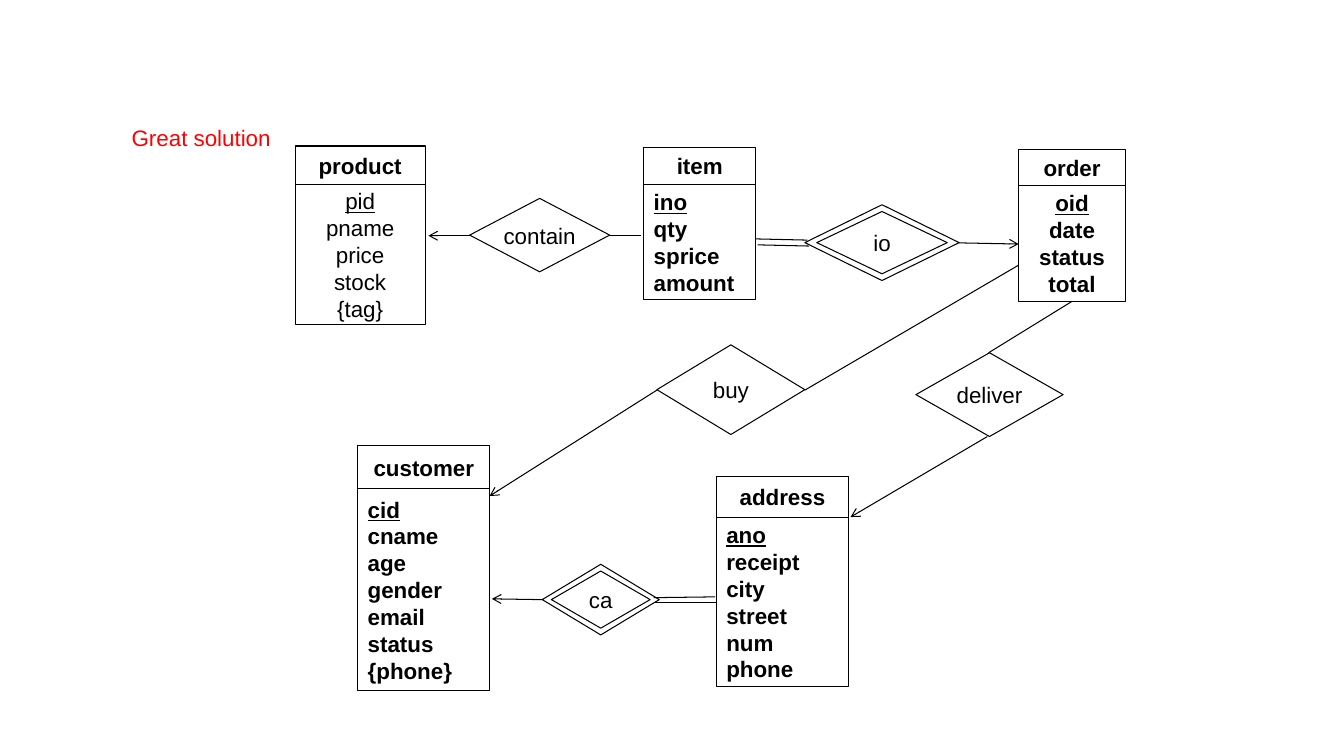
from pptx import Presentation
from pptx.dml.color import RGBColor
from pptx.enum.shapes import MSO_CONNECTOR as Link, MSO_SHAPE as Form
from pptx.enum.text import MSO_ANCHOR as Anchor, PP_ALIGN as Align
from pptx.oxml.ns import qn
from pptx.util import Cm, Pt
from lxml.etree import SubElement

BLACK = "000000"
RED = "FF0000"

ENTITIES = [
    ("product", (7.44, 3.68, 3.28), 0.97, 3.53, Align.CENTER, False,
     ["pid", "pname", "price", "stock", "{tag}"]),
    ("item", (16.23, 3.71, 2.82), 0.94, 2.9, Align.LEFT, True,
     ["ino", "qty", "sprice", "amount"]),
    ("order", (25.68, 3.78, 2.69), 0.89, 2.92, Align.CENTER, True,
     ["oid", "date", "status", "total"]),
    ("customer", (9.02, 11.23, 3.33), 1.09, 5.08, Align.LEFT, True,
     ["cid", "cname", "age", "gender", "email", "status", "{phone}"]),
    ("address", (18.06, 12.01, 3.33), 1.02, 4.27, Align.LEFT, True,
     ["ano", "receipt", "city", "street", "num", "phone"]),
]

RELATIONS = [
    ("contain", (11.84, 5, 3.53, 1.85)),
    ("buy", (16.56, 8.69, 3.73, 2.26)),
    ("deliver", (23.09, 8.89, 3.71, 2.11)),
]

WEAK = [
    ("io", (20.29, 5.16, 3.89, 1.91), 0.3),
    ("ca", (13.67, 14.22, 2.95, 1.78), 0.23),
]

ARROWS = [
    (11.84, 5.94, 10.8, 5.94),
    (24.18, 6.12, 25.68, 6.15),
    (16.56, 9.83, 12.34, 12.5),
    (24.89, 11, 21.44, 13.03),
    (13.67, 15.11, 12.4, 15.09),
]

LINES = [
    (15.34, 5.94, 16.15, 5.94),
    (19.05, 6.02, 20.35, 6.05),
    (19.1, 6.17, 20.4, 6.2),
    (20.29, 9.83, 25.68, 6.68),
    (27.03, 7.59, 24.92, 8.89),
    (16.48, 15.06, 18.03, 15.04),
    (16.48, 15.19, 18.06, 15.19),
]


def color(code):
    return RGBColor.from_string(code)


def stroke(line):
    line.color.rgb = color(BLACK)
    line.width = Pt(0.75)


def write(frame, rows, align, bold=False, code=BLACK):
    frame.text = "\n".join(rows)
    for para in frame.paragraphs:
        para.alignment = align
        for run in para.runs:
            run.font.name = "Arial"
            run.font.size = Pt(16)
            run.font.bold = bold
            run.font.color.rgb = color(code)


def add_form(slide, form, box, rows=(), align=Align.CENTER, bold=False):
    shape = slide.shapes.add_shape(form, *map(Cm, box))
    shape.shadow.inherit = False
    shape.fill.background()
    stroke(shape.line)
    if rows:
        frame = shape.text_frame
        frame.word_wrap = False
        frame.vertical_anchor = Anchor.MIDDLE
        write(frame, rows, align, bold)
    return shape


def add_entity(slide, name, place, head, body, align, bold, fields):
    left, top, width = place
    add_form(slide, Form.RECTANGLE, (left, top, width, head), [name], bold=True)
    box = add_form(slide, Form.RECTANGLE, (left, top + head, width, body),
                   fields, align, bold)
    box.text_frame.paragraphs[0].runs[0].font.underline = True


def add_weak(slide, name, box, gap):
    left, top, width, height = box
    rise = 0.17
    inner = (left + gap, top + rise, width - 2 * gap, height - 2 * rise)
    add_form(slide, Form.DIAMOND, inner, [name])
    add_form(slide, Form.DIAMOND, box)


def add_line(slide, ends, arrow=False):
    line = slide.shapes.add_connector(Link.STRAIGHT, *map(Cm, ends))
    stroke(line.line)
    props = line.element.spPr
    if arrow:
        SubElement(props.find(qn("a:ln")), qn("a:tailEnd"), type="arrow")
    SubElement(props, qn("a:effectLst"))


def add_note(slide, text, box):
    frame = slide.shapes.add_textbox(*map(Cm, box)).text_frame
    frame.word_wrap = True
    write(frame, [text], Align.LEFT, code=RED)


def main():
    deck = Presentation()
    deck.slide_width = Cm(33.88)
    deck.slide_height = Cm(19.05)
    slide = deck.slides.add_slide(deck.slide_layouts[6])
    for entity in ENTITIES:
        add_entity(slide, *entity)
    for name, box in RELATIONS:
        add_form(slide, Form.DIAMOND, box, [name])
    for weak in WEAK:
        add_weak(slide, *weak)
    for ends in ARROWS:
        add_line(slide, ends, arrow=True)
    for ends in LINES:
        add_line(slide, ends)
    add_note(slide, "Great solution", (3.07, 3, 5.72, 0.94))
    deck.save("out.pptx")


if __name__ == "__main__":
    main()
